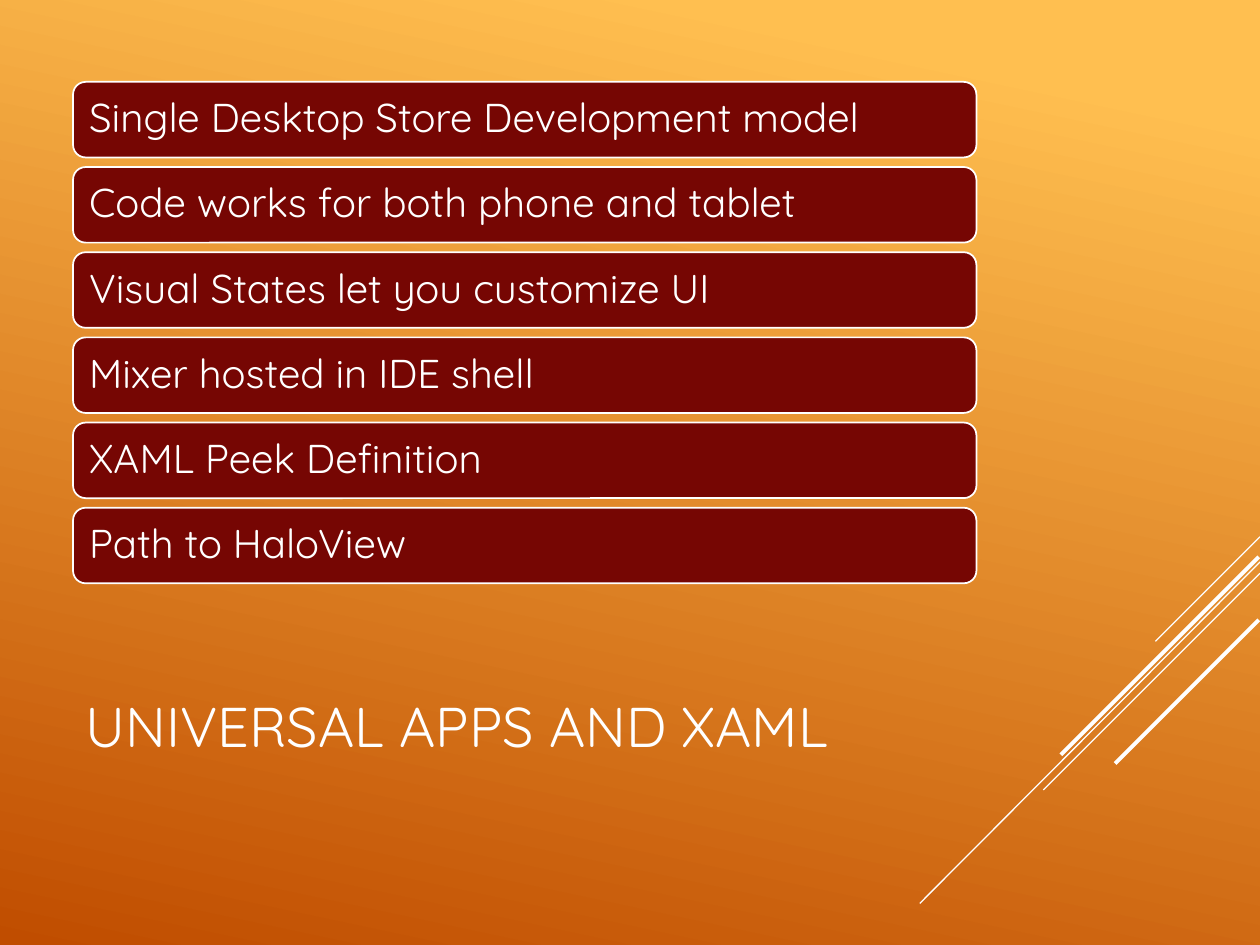
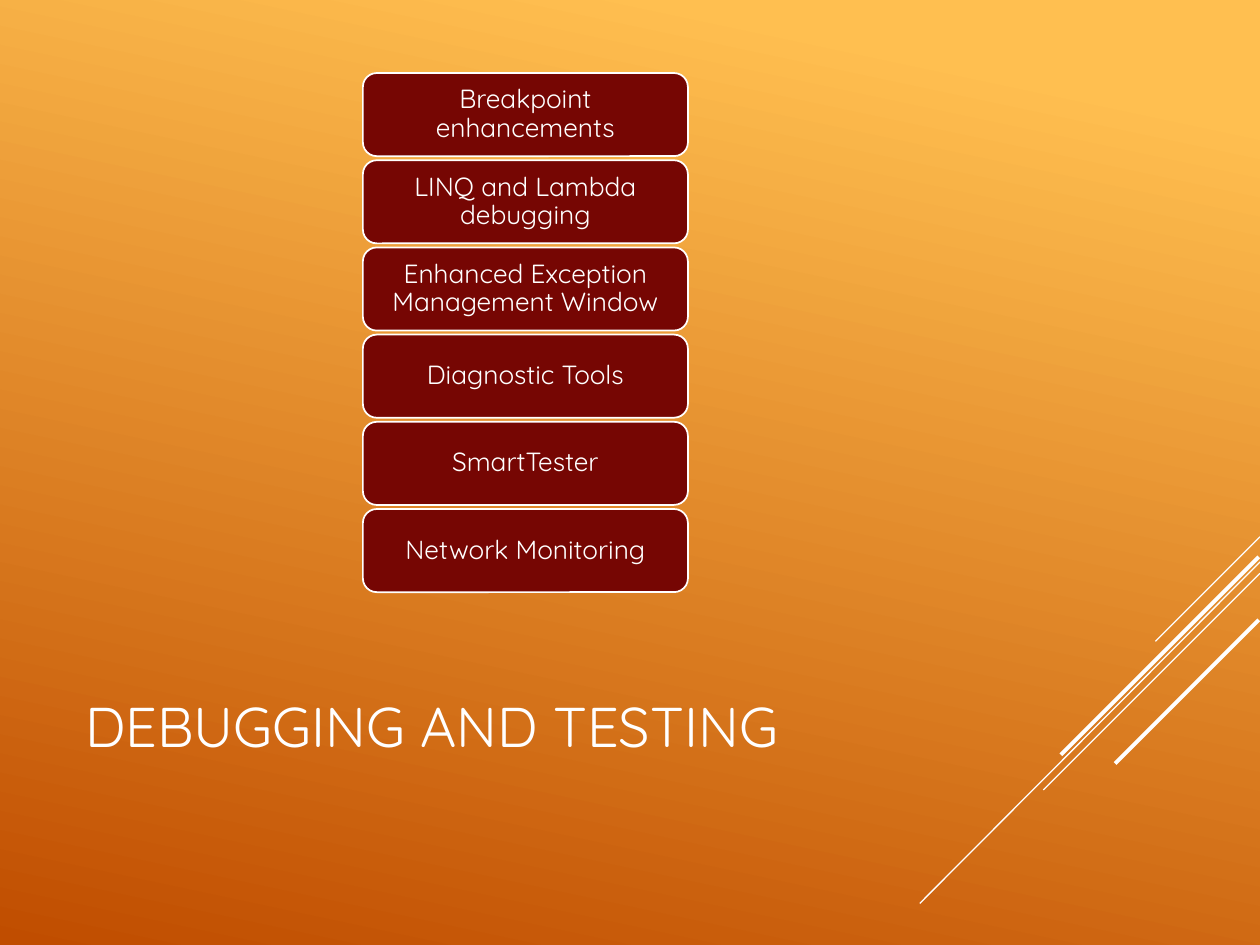
from dataclasses import dataclass

from lxml import etree
from pptx import Presentation
from pptx.dml.color import RGBColor
from pptx.enum.shapes import MSO_CONNECTOR as Connector, MSO_SHAPE as Shape
from pptx.enum.text import MSO_ANCHOR as Anchor, PP_ALIGN as Align
from pptx.oxml.ns import qn
from pptx.util import Inches, Pt

WHITE = "FFFFFF"
MAROON = "760603"
GRADIENT = ((0.1, "FFBF50"), (1.0, "C04D00"))
GRADIENT_ANGLE = 258  # counter-clockwise
FONT = "Quicksand"


@dataclass(frozen=True)
class Box:
    left: float
    top: float
    width: float
    height: float

    def lengths(self) -> tuple:
        return tuple(Inches(n) for n in (self.left, self.top, self.width, self.height))


@dataclass(frozen=True)
class Stripe:
    """Diagonal line from the right edge down to the left."""
    start: tuple[float, float]
    end: tuple[float, float]
    weight: float


@dataclass(frozen=True)
class TextStyle:
    size: float
    align: Align = Align.LEFT
    side_inset: float = 0.1
    edge_inset: float = 0.05
    line_spacing: float = 1.0


@dataclass(frozen=True)
class BarList:
    first: Box
    last_top: float
    style: TextStyle
    items: tuple[str, ...]


STRIPES = (
    Stripe((10, 4.26), (9.17, 5.09), 0.75),
    Stripe((10, 4.46), (7.3, 7.17), 0.75),
    Stripe((10, 4.55), (8.28, 6.27), 0.75),
    Stripe((9.99, 4.42), (8.42, 5.99), 2.25),
    Stripe((9.99, 4.92), (8.85, 6.06), 2.25),
)
TITLE_BOX = Box(0.58, 4.92, 7.17, 1.67)
TITLE_STYLE = TextStyle(32)

SLIDES = {
    "UNIVERSAL APPS AND XAML": BarList(
        Box(0.58, 0.65, 7.17, 0.6), 4.03,
        TextStyle(23, edge_inset=0.1, line_spacing=0.9),
        (
            "Single Desktop Store Development model",
            "Code works for both phone and tablet",
            "Visual States let you customize UI",
            "Mixer hosted in IDE shell",
            "XAML Peek Definition",
            "Path to HaloView",
        ),
    ),
    "DEBUGGING AND TESTING": BarList(
        Box(2.88, 0.58, 2.58, 0.66), 4.04,
        TextStyle(15, Align.CENTER, 0.06, 0.03, 0.9),
        (
            "Breakpoint enhancements",
            "LINQ and Lambda debugging",
            "Enhanced Exception Management Window",
            "Diagnostic Tools",
            "SmartTester",
            "Network Monitoring",
        ),
    ),
}


def color(value: str) -> RGBColor:
    return RGBColor.from_string(value)


def apply(target, values: dict) -> None:
    for name, value in values.items():
        setattr(target, name, value)


def write_text(shape, text: str, style: TextStyle) -> None:
    side, edge = Inches(style.side_inset), Inches(style.edge_inset)
    frame = shape.text_frame
    apply(frame, {
        "text": text, "word_wrap": True, "vertical_anchor": Anchor.MIDDLE,
        "margin_left": side, "margin_right": side,
        "margin_top": edge, "margin_bottom": edge,
    })
    paragraph = frame.paragraphs[0]
    apply(paragraph, {"alignment": style.align, "line_spacing": style.line_spacing})
    apply(paragraph.font, {"name": FONT, "size": Pt(style.size)})
    paragraph.font.color.rgb = color(WHITE)


def paint_background(slide) -> None:
    fill = slide.background.fill
    fill.gradient()
    fill.gradient_angle = GRADIENT_ANGLE
    for stop, (position, value) in zip(fill.gradient_stops, GRADIENT):
        stop.position = position
        stop.color.rgb = color(value)


def draw_stripe(slide, stripe: Stripe) -> None:
    points = [Inches(n) for n in stripe.start + stripe.end]
    connector = slide.shapes.add_connector(Connector.STRAIGHT, *points)
    connector.line.color.rgb = color(WHITE)
    connector.line.width = Pt(stripe.weight)
    properties = connector._element.spPr
    etree.SubElement(properties, qn("a:effectLst"))


def draw_title(slide, title: str) -> None:
    write_text(slide.shapes.add_textbox(*TITLE_BOX.lengths()), title, TITLE_STYLE)


def draw_bars(slide, bars: BarList) -> None:
    first = bars.first
    pitch = (bars.last_top - first.top) / (len(bars.items) - 1)
    for index, item in enumerate(bars.items):
        box = Box(first.left, first.top + index * pitch, first.width, first.height)
        shape = slide.shapes.add_shape(Shape.ROUNDED_RECTANGLE, *box.lengths())
        shape.shadow.inherit = False
        shape.fill.solid()
        shape.fill.fore_color.rgb = color(MAROON)
        shape.line.color.rgb = color(WHITE)
        shape.line.width = Pt(1)
        write_text(shape, item, bars.style)


def main() -> None:
    presentation = Presentation()
    presentation.slide_width, presentation.slide_height = Inches(10), Inches(7.5)
    blank = presentation.slide_layouts[6]
    for title, bars in SLIDES.items():
        slide = presentation.slides.add_slide(blank)
        # Shared look
        paint_background(slide)
        for stripe in STRIPES:
            draw_stripe(slide, stripe)
        # Slide content
        draw_title(slide, title)
        draw_bars(slide, bars)
    presentation.save("out.pptx")


if __name__ == "__main__":
    main()
